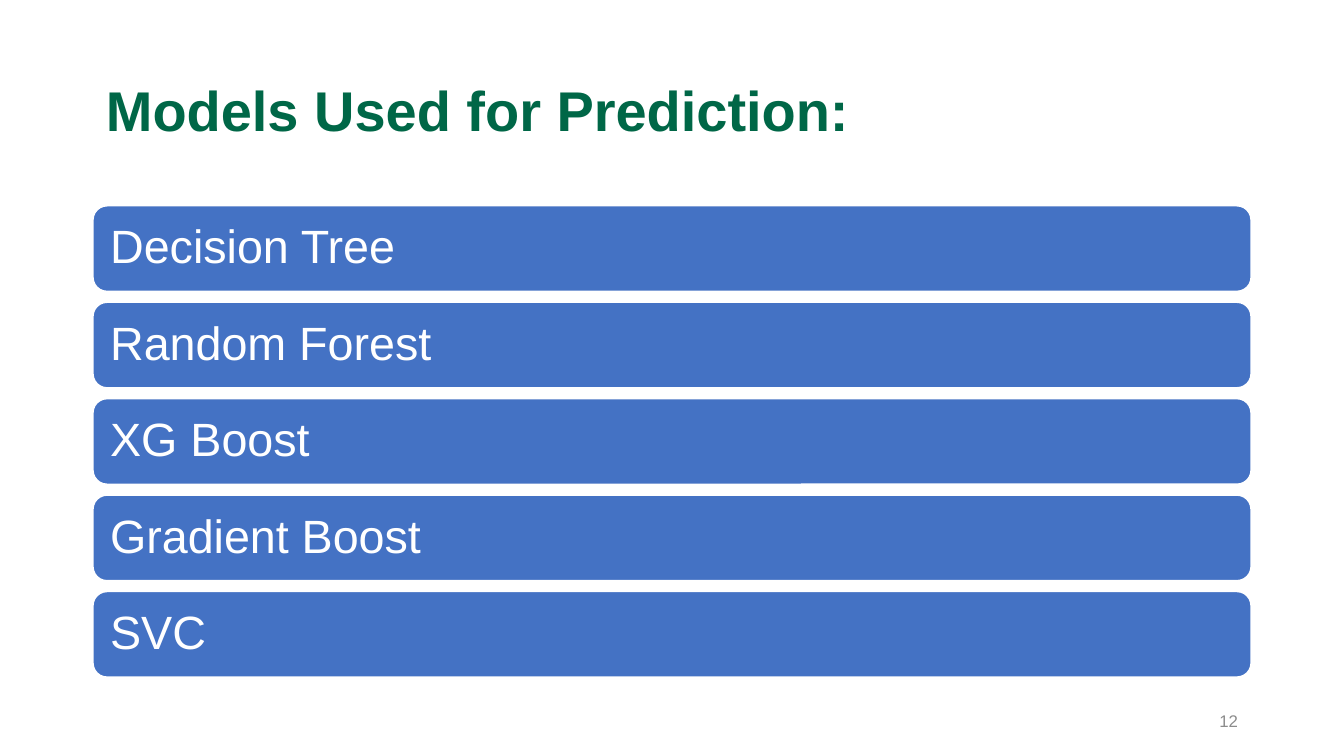
"""Build the slide listing the models used for prediction."""
import pptx
import pptx.dml.color
import pptx.enum.shapes
import pptx.enum.text
import pptx.util
from pptx.dml.color import RGBColor
from pptx.util import Inches

TITLE = "Models Used for Prediction:"
MODELS = ["Decision Tree", "Random Forest", "XG Boost", "Gradient Boost", "SVC"]
PAGE_NUMBER = "12"

GREEN = RGBColor(0x00, 0x67, 0x47)
BLUE = RGBColor(0x44, 0x72, 0xC4)
WHITE = RGBColor(0xFF, 0xFF, 0xFF)
GRAY = RGBColor(0x8C, 0x8C, 0x8C)

SLIDE_WIDTH = 10
LEFT, WIDTH = 0.69, 8.62
FIRST_TOP, LAST_TOP, BAR_HEIGHT = 1.53, 4.4, 0.64
BAR_STEP = (LAST_TOP - FIRST_TOP) / (len(MODELS) - 1)
ALIGN = pptx.enum.text.PP_ALIGN


def write_text(shape, text, size, color, bold=False, align=ALIGN.LEFT, spacing=0.9):
    frame = shape.text_frame
    frame.word_wrap = True
    frame.vertical_anchor = pptx.enum.text.MSO_ANCHOR.MIDDLE
    paragraph = frame.paragraphs[0]
    paragraph.alignment = align
    paragraph.line_spacing = spacing
    run = paragraph.add_run()
    run.text = text
    run.font.name = "Arial"
    run.font.size = pptx.util.Pt(size)
    run.font.bold = bold
    run.font.color.rgb = color


def add_bar(slide, text, top):
    bar = slide.shapes.add_shape(
        pptx.enum.shapes.MSO_SHAPE.ROUNDED_RECTANGLE,
        Inches(LEFT), Inches(top), Inches(WIDTH), Inches(BAR_HEIGHT))
    bar.shadow.inherit = False
    bar.fill.solid()
    bar.fill.fore_color.rgb = BLUE
    bar.line.color.rgb = WHITE
    bar.line.width = pptx.util.Pt(1)
    write_text(bar, text, 25, WHITE)


def main():
    presentation = pptx.Presentation()
    presentation.slide_width = Inches(SLIDE_WIDTH)
    presentation.slide_height = Inches(SLIDE_WIDTH * 9 / 16)
    slide = presentation.slides.add_slide(presentation.slide_layouts[6])

    title = slide.shapes.add_textbox(
        Inches(LEFT), Inches(0.3), Inches(WIDTH), Inches(1.09))
    write_text(title, TITLE, 30, GREEN, bold=True)

    for index, model in enumerate(MODELS):
        add_bar(slide, model, FIRST_TOP + index * BAR_STEP)

    page_number = slide.shapes.add_textbox(
        Inches(7.06), Inches(5.21), Inches(2.25), Inches(0.3))
    write_text(page_number, PAGE_NUMBER, 9, GRAY, align=ALIGN.RIGHT, spacing=1.0)

    presentation.save("out.pptx")


if __name__ == "__main__":
    main()
